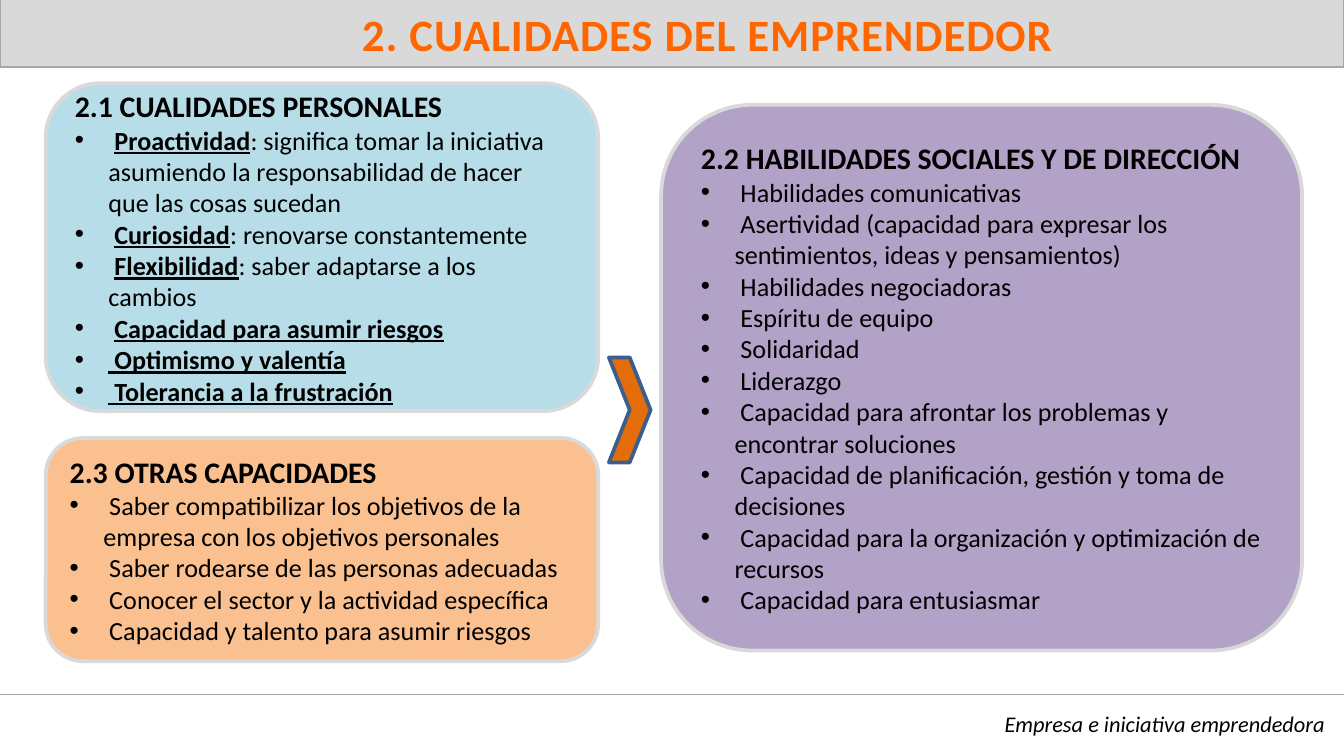
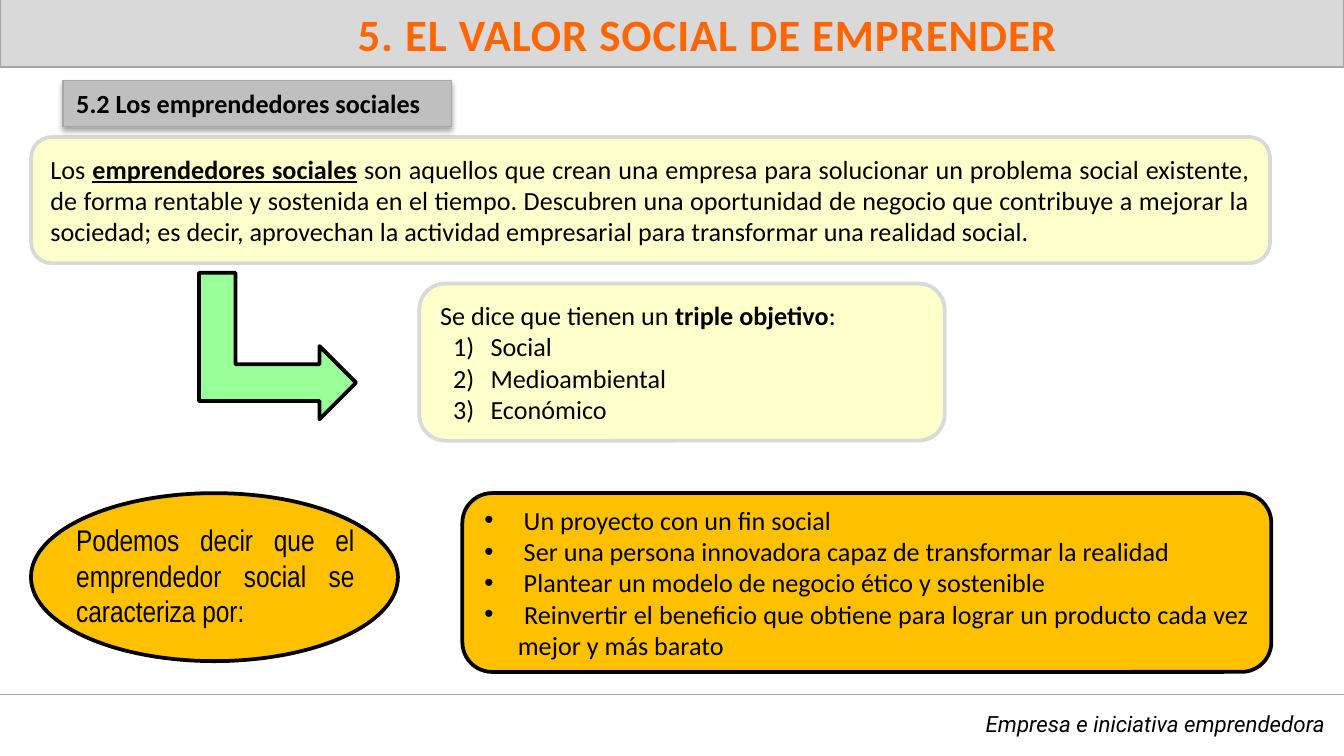
from lxml.etree import SubElement
from pptx import Presentation
from pptx.dml.color import RGBColor
from pptx.enum.shapes import MSO_CONNECTOR, MSO_SHAPE
from pptx.enum.text import MSO_ANCHOR, MSO_AUTO_SIZE, PP_ALIGN
from pptx.oxml import parse_xml
from pptx.oxml.ns import nsdecls, qn
from pptx.util import Pt

COLORS = {
    "text": "000000", "title": "FF6600", "title_edge": "101A26",
    "band": "D9D9D9", "rule": "A6A6A6", "label": "BFBFBF",
    "blue": "B7DEE8", "purple": "B3A2C7", "peach": "FAC090",
    "cream": "FFFFCC", "gold": "FFC000", "green": "99FF99",
    "chevron": "E46C0A", "chevron_edge": "3A5F8C",
}
BULLET = ("buChar", {"char": "•"}, 18, -18)
NUMBER = ("buAutoNum", {"type": "arabicParenR"}, 27, -20)


def rgb(name):
    return RGBColor.from_string(COLORS[name])


def bold(text):
    return text, True, False


def key(text):
    return text, True, True


def heading(text):
    return [bold(text)], None, 16


def plain(*runs):
    return runs, None, 14


def item(*runs):
    return runs, BULLET, 14


def numbered(text):
    return [text], NUMBER, 14


class Deck:
    font = "Calibri"

    def __init__(self):
        self.prs = Presentation()
        self.prs.slide_width, self.prs.slide_height = Pt(720), Pt(405)

    def new_slide(self, title, footer_font):
        self.slide = self.prs.slides.add_slide(self.prs.slide_layouts[6])
        self.rule(372)
        self.title(title)
        footer = self.text_box((65, 377, 652, 22))
        self.add_text(footer, [(["Empresa e iniciativa emprendedora"], None, 12)],
                      PP_ALIGN.RIGHT, footer_font, italic=True)

    def rule(self, y):
        rule = self.slide.shapes.add_connector(MSO_CONNECTOR.STRAIGHT, 0, Pt(y), Pt(720), Pt(y))
        rule.line.color.rgb = rgb("rule")
        rule.line.width = Pt(0.75)
        SubElement(rule._element.spPr, qn("a:effectLst"))

    def shape(self, kind, box, fill, edge="band", width=2):
        shape = self.slide.shapes.add_shape(kind, *map(Pt, box))
        shape.shadow.inherit = False
        shape.fill.solid()
        shape.fill.fore_color.rgb = rgb(fill)
        shape.line.color.rgb = rgb(edge)
        shape.line.width = Pt(width)
        return shape

    def title(self, text):
        band = self.shape(MSO_SHAPE.RECTANGLE, (0, -0.5, 720, 36.5), "band", "rule", 0.75)
        band.text_frame.vertical_anchor = MSO_ANCHOR.BOTTOM
        self.add_text(band, [([bold(text)], None, 24)], PP_ALIGN.CENTER, color="title")
        paragraph = band.text_frame.paragraphs[0]
        paragraph._p.get_or_add_pPr().set("marL", str(Pt(38)))
        props = paragraph.runs[0]._r.get_or_add_rPr()
        props.set("spc", "50")
        props.insert(0, parse_xml(
            f'<a:ln {nsdecls("a")} w="{Pt(1.06)}"><a:solidFill>'
            f'<a:srgbClr val="{COLORS["title_edge"]}"><a:alpha val="6000"/></a:srgbClr>'
            '</a:solidFill></a:ln>'))

    def panel(self, box, fill, paragraphs, edge="band", align=PP_ALIGN.LEFT):
        panel = self.shape(MSO_SHAPE.ROUNDED_RECTANGLE, box, fill, edge)
        panel.text_frame.vertical_anchor = MSO_ANCHOR.MIDDLE
        self.add_text(panel, paragraphs, align)

    def label(self, box, text):
        label = self.shape(MSO_SHAPE.RECTANGLE, box, "label", "rule", 0.75)
        label.text_frame.vertical_anchor = MSO_ANCHOR.TOP
        label.text_frame.auto_size = MSO_AUTO_SIZE.SHAPE_TO_FIT_TEXT
        self.add_text(label, [plain(bold(text))])
        label._element.spPr.find(qn("a:effectLst")).append(parse_xml(
            f'<a:outerShdw {nsdecls("a")} blurRad="{Pt(3.1)}" dist="{Pt(1.8)}" '
            f'dir="5400000" rotWithShape="0"><a:srgbClr val="{COLORS["text"]}">'
            '<a:alpha val="35000"/></a:srgbClr></a:outerShdw>'))

    def text_box(self, box):
        text_box = self.slide.shapes.add_textbox(*map(Pt, box))
        text_box.text_frame.auto_size = MSO_AUTO_SIZE.SHAPE_TO_FIT_TEXT
        return text_box

    def add_text(self, holder, paragraphs, align=PP_ALIGN.LEFT, font=None, color="text",
                 italic=None):
        frame = holder.text_frame
        frame.word_wrap = True
        for index, (runs, marker, size) in enumerate(paragraphs):
            paragraph = frame.add_paragraph() if index else frame.paragraphs[0]
            paragraph.alignment = align
            if marker:
                self.mark(paragraph, *marker)
            for part in runs:
                text, is_bold, underlined = (part, False, False) if isinstance(part, str) else part
                run = paragraph.add_run()
                run.text = text
                run.font.size = Pt(size)
                run.font.name = font or self.font
                run.font.bold = is_bold
                run.font.underline = underlined
                run.font.italic = italic
                run.font.color.rgb = rgb(color)

    def mark(self, paragraph, tag, attributes, margin, indent):
        props = paragraph._p.get_or_add_pPr()
        props.set("marL", str(Pt(margin)))
        props.set("indent", str(Pt(indent)))
        SubElement(props, qn("a:buFont"), typeface="Arial" if tag == "buChar" else self.font)
        SubElement(props, qn(f"a:{tag}"), **attributes)


def qualities(deck):
    deck.new_slide("2. CUALIDADES DEL EMPRENDEDOR", "Calibri")
    left, width = 24.5, 296
    deck.panel((left, 44.6, width, 175.7), "blue", [
        heading("2.1 CUALIDADES PERSONALES"),
        item(" ", key("Proactividad"), ": significa tomar la iniciativa asumiendo la "
             "responsabilidad de hacer que las cosas sucedan"),
        item(" ", key("Curiosidad"), ": renovarse constantemente"),
        item(" ", key("Flexibilidad"), ": saber adaptarse a los cambios"),
        item(" ", key("Capacidad para asumir riesgos")),
        item(key(" Optimismo y valentía")),
        item(key(" Tolerancia a la frustración")),
    ])
    deck.panel((354.2, 56.2, 343.4, 292.3), "purple", [
        heading("2.2 HABILIDADES SOCIALES Y DE DIRECCIÓN"),
        item(" Habilidades comunicativas"),
        item(" Asertividad (capacidad para expresar los sentimientos, ideas y pensamientos)"),
        item(" Habilidades negociadoras"),
        item(" Espíritu de equipo"),
        item(" Solidaridad"),
        item(" Liderazgo"),
        item(" Capacidad para afrontar los problemas y encontrar soluciones"),
        item(" Capacidad de planificación, gestión y toma de decisiones"),
        item(" Capacidad para la organización y optimización de recursos"),
        item(" Capacidad para entusiasmar"),
    ])
    deck.panel((left, 234.7, width, 119.5), "peach", [
        heading("2.3 OTRAS CAPACIDADES"),
        item(" Saber compatibilizar los objetivos de la empresa con los objetivos personales"),
        item(" Saber rodearse de las personas adecuadas"),
        item(" Conocer el sector y la actividad específica"),
        item(" Capacidad y talento para asumir riesgos"),
    ])
    deck.shape(MSO_SHAPE.CHEVRON, (326.2, 191.5, 22.3, 56.2), "chevron", "chevron_edge")


def social_value(deck):
    deck.new_slide("5. EL VALOR SOCIAL DE EMPRENDER", "Roboto")
    left, lower_top = 16.6, 264.2
    justify = PP_ALIGN.JUSTIFY
    deck.panel((left, 73.4, 663.8, 67.7), "cream", [plain(
        "Los ", key("emprendedores sociales"),
        " son aquellos que crean una empresa para solucionar un problema social existente, "
        "de forma rentable y sostenida en el tiempo. Descubren una oportunidad de negocio que "
        "contribuye a mejorar la sociedad; es decir, aprovechan la actividad empresarial para "
        "transformar una realidad social.")], align=justify)
    deck.label((33.8, 43.2, 208, 24.5), "5.2 Los emprendedores sociales")
    deck.panel((224.6, 151.9, 281.5, 84.2), "cream", [
        plain("Se dice que tienen un ", bold("triple objetivo"), ":"),
        *map(numbered, ("Social", "Medioambiental", "Económico")),
    ], align=justify)
    arrow = deck.shape(MSO_SHAPE.BENT_UP_ARROW, (109.4, 143.3, 78.5, 84.2), "green", "text")
    arrow.rotation = 90
    deck.panel((247.7, lower_top, 433.4, 95.8), "gold", [
        item(" Un proyecto con un fin social"),
        item(" Ser una persona innovadora capaz de transformar la realidad"),
        item(" Plantear un modelo de negocio ético y sostenible"),
        item(" Reinvertir el beneficio que obtiene para lograr un producto cada vez "
             "mejor y más barato"),
    ], "text", justify)
    deck.shape(MSO_SHAPE.OVAL, (left, lower_top, 196.6, 90), "gold", "text")
    intro = deck.text_box((33.8, 275.8, 163.4, 65.5))
    deck.add_text(intro, [
        (["Podemos decir que el emprendedor social se caracteriza por:"], None, 16),
    ], justify, "Arial Narrow")


def main():
    deck = Deck()
    qualities(deck)
    social_value(deck)
    deck.prs.save("out.pptx")


if __name__ == "__main__":
    main()
